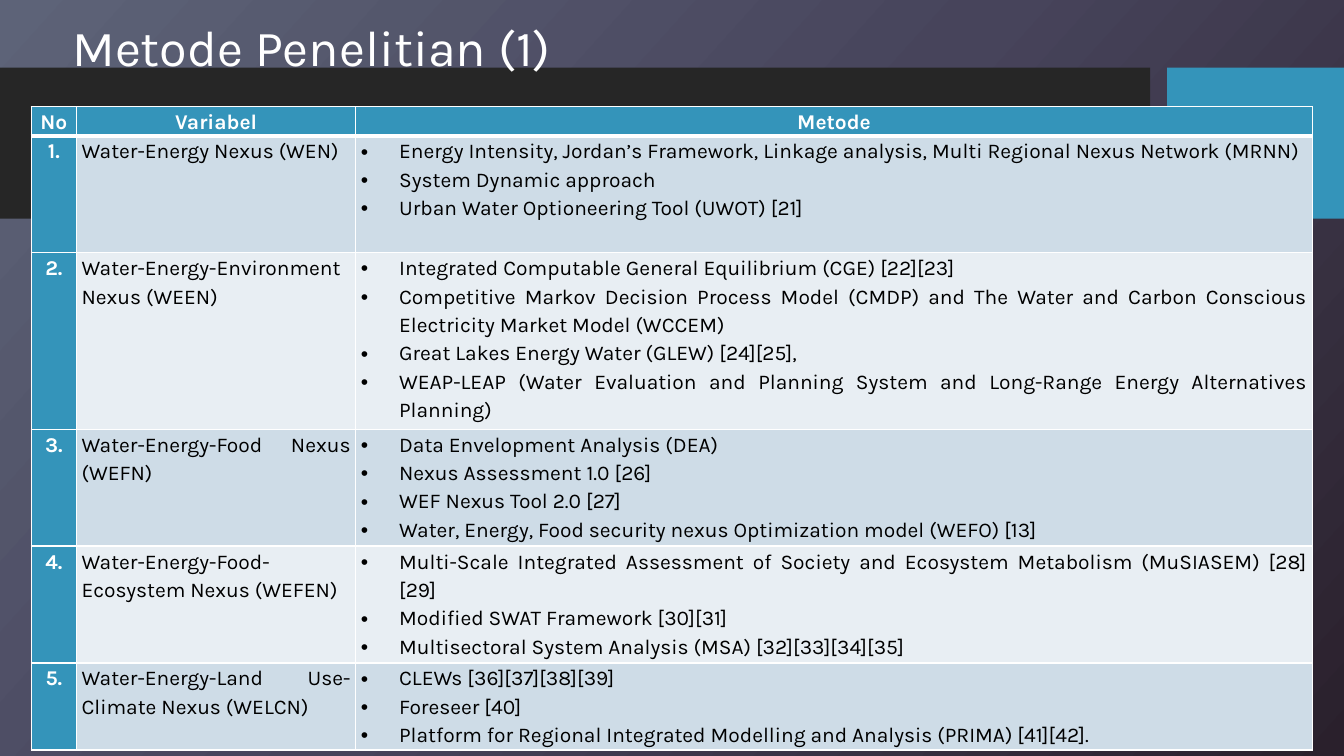
from lxml.etree import SubElement
from pptx import Presentation
from pptx.dml.color import RGBColor
from pptx.enum.shapes import MSO_SHAPE as SHAPE
from pptx.enum.text import MSO_ANCHOR as ANCHOR, PP_ALIGN as ALIGN
from pptx.oxml import parse_xml
from pptx.oxml.ns import nsdecls, qn
from pptx.util import Inches, Pt

WIDTH, HEIGHT = 13.33, 7.5
COLUMNS, ROWS = 40, 30
WHITE, BLACK, DARK, BLUE = "FFFFFF", "000000", "262626", "3494BA"
BANDS = ["CEDCE7", "E8EEF3"]
BACKDROP = [(0, "5D6378"), (50, "47445B"), (100, "2A202C")]

HEADINGS = ["No", "Variabel", "Metode"]
COLUMN_WIDTHS = [1.35, 8.31, 28.47]
ROW_HEIGHTS = [1.08, 4.64, 7, 4.64, 4.64, 3.44]
METHODS = [
    ("Water-Energy Nexus (WEN)", [
        "Energy Intensity, Jordan’s Framework, Linkage analysis, "
        "Multi Regional Nexus Network (MRNN)",
        "System Dynamic approach",
        "Urban Water Optioneering Tool (UWOT) [21]"]),
    ("Water-Energy-Environment Nexus (WEEN)", [
        "Integrated Computable General Equilibrium (CGE) [22][23]",
        "Competitive Markov Decision Process Model (CMDP) and The Water and "
        "Carbon Conscious Electricity Market Model (WCCEM)",
        "Great Lakes Energy Water (GLEW) [24][25],",
        "WEAP-LEAP (Water Evaluation and Planning System and Long-Range "
        "Energy Alternatives Planning)"]),
    ("Water-Energy-Food Nexus (WEFN)", [
        "Data Envelopment Analysis (DEA)",
        "Nexus Assessment 1.0 [26]",
        "WEF Nexus Tool 2.0 [27]",
        "Water, Energy, Food security nexus Optimization model (WEFO) [13]"]),
    ("Water-Energy-Food-Ecosystem Nexus (WEFEN)", [
        "Multi-Scale Integrated Assessment of Society and Ecosystem "
        "Metabolism (MuSIASEM) [28][29]",
        "Modified SWAT Framework [30][31]",
        "Multisectoral System Analysis (MSA) [32][33][34][35]"]),
    ("Water-Energy-Land Use-Climate Nexus (WELCN)", [
        "CLEWs [36][37][38][39]",
        "Foreseer [40]",
        "Platform for Regional Integrated Modelling and Analysis (PRIMA) "
        "[41][42]."]),
]


def rgb(value):
    return RGBColor.from_string(value)


def across(columns):
    return Inches(columns * WIDTH / COLUMNS)


def down(rows):
    return Inches(rows * HEIGHT / ROWS)


def box(left, top, width, height):
    """Turn grid columns and rows into slide lengths."""
    return across(left), down(top), across(width), down(height)


class Deck:
    """Holds the text style and the slide being drawn."""

    font, title_size, cell_size = "Karla", 36, 15
    indent = Inches(0.38)

    def __init__(self, prs):
        self.s = prs.slides.add_slide(prs.slide_layouts[6])

    def background(self, stops, angle):
        fill = self.s.background.fill
        fill.gradient()
        fill.gradient_angle = 360 - angle
        stop_list = self.s.element.find(".//" + qn("a:gsLst"))
        stop_list.clear()
        for percent, color in stops:
            stop = SubElement(stop_list, qn("a:gs"), pos=str(percent * 1000))
            SubElement(stop, qn("a:srgbClr"), val=color)

    def block(self, area, color):
        sp = self.s.shapes.add_shape(SHAPE.RECTANGLE, *box(*area))
        sp.shadow.inherit = False
        sp.fill.solid()
        sp.fill.fore_color.rgb = rgb(color)
        sp.line.fill.background()

    def add_text(self, p, text, size, color, bold=False, spacing=1.15):
        p.line_spacing = spacing
        r = p.add_run()
        r.text = text
        r.font.name, r.font.size, r.font.bold = self.font, Pt(size), bold
        r.font.color.rgb = rgb(color)

    def title(self, area, text):
        tf = self.s.shapes.add_textbox(*box(*area)).text_frame
        tf.word_wrap = True
        tf.vertical_anchor = ANCHOR.MIDDLE
        self.add_text(tf.paragraphs[0], text, self.title_size, WHITE,
                      spacing=0.9)

    def table(self, left, top, widths, heights):
        area = box(left, top, sum(widths), sum(heights))
        table = self.s.shapes.add_table(len(heights), len(widths), *area).table
        for column, width in zip(table.columns, widths):
            column.width = across(width)
        for row, height in zip(table.rows, heights):
            row.height = down(height)
        return table

    def cell(self, cell, lines, fill, color=BLACK, label=False,
             bullets=False, top=1, bottom=1):
        """Fill one cell; a label is bold and centred."""
        cell.margin_left = cell.margin_right = Inches(0.05)
        cell.margin_top = cell.margin_bottom = 0
        cell.fill.solid()
        cell.fill.fore_color.rgb = rgb(fill)
        self.borders(cell, top, bottom)
        tf = cell.text_frame
        for i, line in enumerate(lines):
            p = tf.add_paragraph() if i else tf.paragraphs[0]
            p.alignment = ALIGN.CENTER if label else ALIGN.JUSTIFY
            self.add_text(p, line, self.cell_size, color, label)
            if bullets:
                self.bullet(p)

    def bullet(self, p):
        props = p._p.get_or_add_pPr()
        props.set("marL", str(self.indent))
        props.set("indent", str(-self.indent))
        SubElement(props, qn("a:buFont"), typeface="Arial")
        SubElement(props, qn("a:buChar"), char="•")

    def borders(self, cell, top, bottom):
        props = cell._tc.get_or_add_tcPr()
        for i, (side, width) in enumerate(zip("LRTB", (1, 1, top, bottom))):
            props.insert(i, parse_xml(
                f'<a:ln{side} {nsdecls("a")} w="{Pt(width)}"><a:solidFill>'
                f'<a:srgbClr val="{WHITE}"/></a:solidFill></a:ln{side}>'))


def main():
    prs = Presentation()
    prs.slide_width, prs.slide_height = Inches(WIDTH), Inches(HEIGHT)
    deck = Deck(prs)
    deck.background(BACKDROP, 42)
    deck.block((0, 2.68, 34.23, 6), DARK)
    deck.block((34.74, 2.68, 5.26, 6), BLUE)
    deck.title((1.86, 0.56, 28.2, 2.88), "Metode Penelitian (1)")

    table = deck.table(0.93, 4.24, COLUMN_WIDTHS, ROW_HEIGHTS)
    for col, heading in enumerate(HEADINGS):
        deck.cell(table.cell(0, col), [heading], BLUE, WHITE, label=True,
                  bottom=3)
    for row, (variable, methods) in enumerate(METHODS, 1):
        band = BANDS[(row - 1) % 2]
        top = 3 if row == 1 else 1
        deck.cell(table.cell(row, 0), [f"{row}."], BLUE, WHITE, label=True,
                  top=top)
        deck.cell(table.cell(row, 1), [variable], band, top=top)
        deck.cell(table.cell(row, 2), methods, band, bullets=True, top=top)
    prs.save("out.pptx")


if __name__ == "__main__":
    main()
